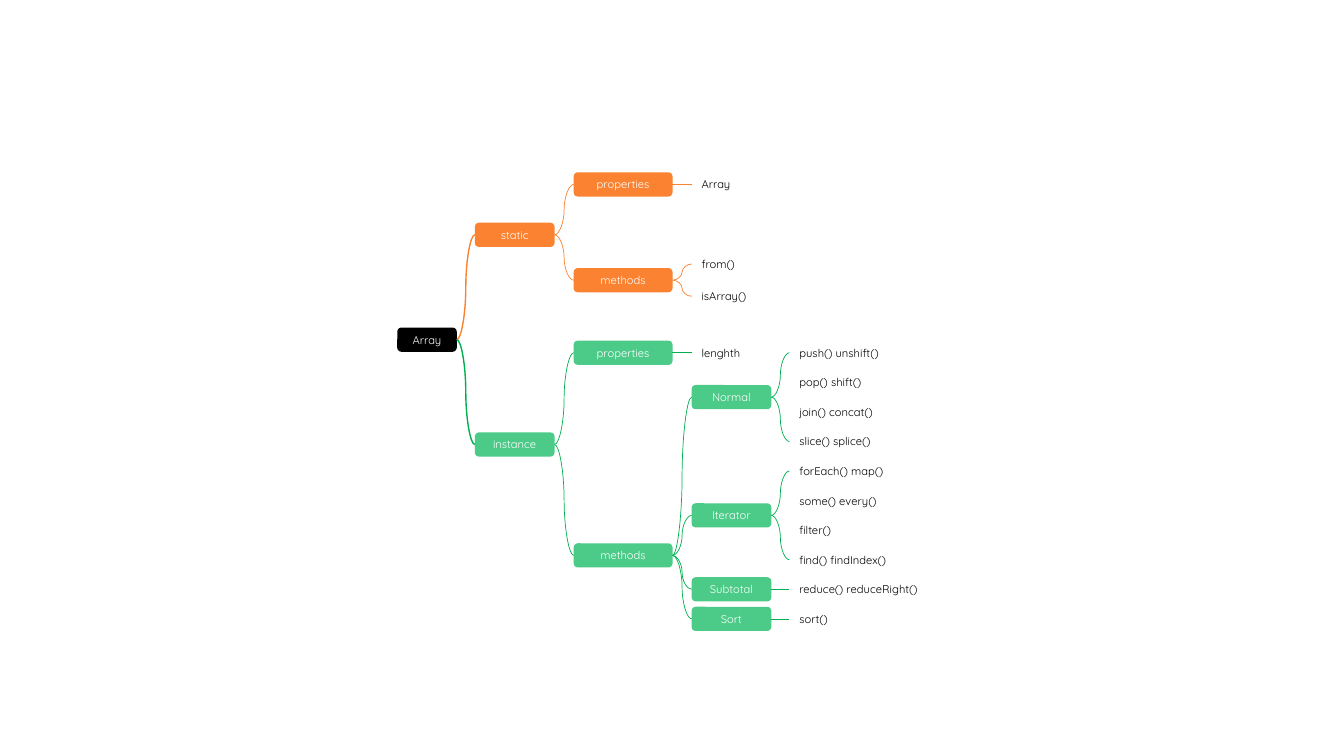
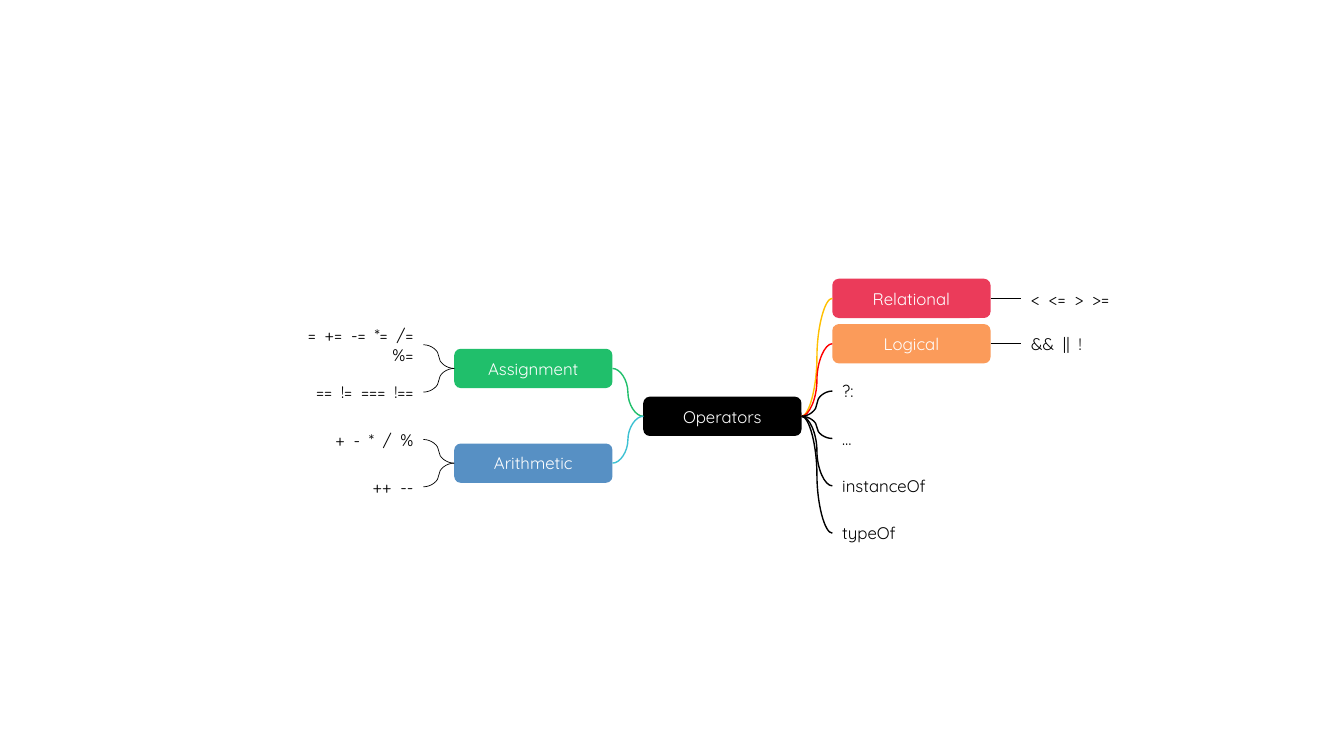
"""Build two mind maps: array members and operators."""
from dataclasses import dataclass
from typing import Optional

from lxml.etree import SubElement
from pptx import Presentation
from pptx.dml.color import RGBColor
from pptx.enum.shapes import MSO_CONNECTOR as Connector, MSO_SHAPE as Shape
from pptx.enum.text import MSO_ANCHOR as Anchor, PP_ALIGN as Align
from pptx.oxml.ns import qn
from pptx.util import Inches, Pt

FONT = "Quicksand"
BLACK = RGBColor(0x00, 0x00, 0x00)
WHITE = RGBColor(0xFF, 0xFF, 0xFF)
ORANGE = RGBColor(0xFA, 0x82, 0x31)
GREEN = RGBColor(0x20, 0xBF, 0x6B)
DEEP_GREEN = RGBColor(0x00, 0xB0, 0x50)
CRIMSON = RGBColor(0xEB, 0x3B, 0x5A)
RED = RGBColor(0xFF, 0x00, 0x00)
AMBER = RGBColor(0xFF, 0xC0, 0x00)
BLUE = RGBColor(0x2E, 0x75, 0xB6)
CYAN = RGBColor(0x3D, 0xC1, 0xD3)
LEFT_SITE, RIGHT_SITE = 1, 3


@dataclass(frozen=True)
class Fill:
    color: RGBColor
    opacity: int = 100


@dataclass(frozen=True)
class Link:
    color: RGBColor
    width: float = 0.5


@dataclass(frozen=True)
class Node:
    text: str
    link: Optional[Link] = None
    fill: Optional[Fill] = None
    y: Optional[float] = None
    children: tuple["Node", ...] = ()

    @property
    def middle(self) -> float:
        if self.y is not None:
            return self.y
        return (self.children[0].middle + self.children[-1].middle) / 2


@dataclass(frozen=True)
class Column:
    left: float
    width: float


@dataclass(frozen=True)
class MindMap:
    root: Node
    columns: tuple[Column, ...]
    root_column: int
    box_height: float
    font_size: int
    word_gap: float = 0
    left_branches: tuple[Node, ...] = ()


def add_words(para, text: str, word_gap: float) -> None:
    for line_number, line in enumerate(text.split("\n")):
        if line_number:
            para.add_line_break()
        words = line.split(" ") if word_gap else [line]
        for number, word in enumerate(words):
            if number:
                gap = para.add_run()
                gap.text = " "
                gap.font._element.set("spc", str(round(word_gap * 100)))
            para.add_run().text = word


def add_box(page, chart: MindMap, node: Node, column: int):
    place = chart.columns[column]
    bounds = (Inches(place.left), Inches(node.middle - chart.box_height / 2),
              Inches(place.width), Inches(chart.box_height))
    if node.fill:
        box = page.shapes.add_shape(Shape.ROUNDED_RECTANGLE, *bounds)
        box.shadow.inherit = False
        box.line.fill.background()
        box.fill.solid()
        box.fill.fore_color.rgb = node.fill.color
        if node.fill.opacity < 100:
            color = box.element.spPr.find(".//" + qn("a:srgbClr"))
            SubElement(color, qn("a:alpha"), val=str(node.fill.opacity * 1000))
    else:
        box = page.shapes.add_textbox(*bounds)
    frame = box.text_frame
    frame.word_wrap = True
    frame.vertical_anchor = Anchor.MIDDLE
    para = frame.paragraphs[0]
    if node.fill:
        para.alignment = Align.CENTER
    else:
        para.alignment = Align.RIGHT if column < chart.root_column else Align.LEFT
    para.font.name = FONT
    para.font.size = Pt(chart.font_size)
    para.font.color.rgb = WHITE if node.fill else BLACK
    add_words(para, node.text, chart.word_gap)
    return box


def add_link(page, start, end, link: Link) -> None:
    start_y = start.top + start.height // 2
    end_y = end.top + end.height // 2
    kind = Connector.STRAIGHT if start_y == end_y else Connector.CURVE
    line = page.shapes.add_connector(
        kind, start.left + start.width, start_y, end.left, end_y)
    line.begin_connect(start, RIGHT_SITE)
    line.end_connect(end, LEFT_SITE)
    line.line.color.rgb = link.color
    line.line.width = Pt(link.width)
    SubElement(line._element.spPr, qn("a:effectLst"))


def add_branches(page, chart: MindMap, parent, branches: tuple[Node, ...],
                 column: int, step: int) -> None:
    for node in branches:
        box = add_box(page, chart, node, column)
        if node.link:
            start, end = (parent, box) if step > 0 else (box, parent)
            add_link(page, start, end, node.link)
        add_branches(page, chart, box, node.children, column + step, step)


def add_mind_map(deck, chart: MindMap) -> None:
    page = deck.slides.add_slide(deck.slide_layouts[6])
    center = chart.root_column
    root = add_box(page, chart, chart.root, center)
    add_branches(page, chart, root, chart.root.children, center + 1, 1)
    add_branches(page, chart, root, chart.left_branches, center - 1, -1)


def array_map() -> MindMap:
    orange, green = Link(ORANGE), Link(DEEP_GREEN)
    orange_fill, green_fill = Fill(ORANGE), Fill(GREEN, 80)
    first_row, last_row = 3.5, 6.14
    groups = {
        "Normal": ("push() unshift()", "pop() shift()", "join() concat()",
                   "slice() splice()"),
        "Iterator": ("forEach() map()", "some() every()", "filter()",
                     "find() findIndex()"),
        "Subtotal": ("reduce() reduceRight()",),
        "Sort": ("sort()",),
    }
    pitch = (last_row - first_row) / (sum(map(len, groups.values())) - 1)
    row = 0
    families = []
    for name, calls in groups.items():
        leaves = tuple(
            Node(call, green if call in (calls[0], calls[-1]) else None,
                 y=first_row + (row + offset) * pitch)
            for offset, call in enumerate(calls))
        families.append(Node(name, green, green_fill, children=leaves))
        row += len(calls)
    static = Node("static", Link(ORANGE, 1), orange_fill, 2.33, (
        Node("properties", orange, orange_fill,
             children=(Node("Array", orange, y=1.83),)),
        Node("methods", orange, orange_fill, children=(
            Node("from()", orange, y=2.62),
            Node("isArray()", orange, y=2.94))),
    ))
    instance = Node("instance", Link(DEEP_GREEN, 1), green_fill, 4.41, (
        Node("properties", green, green_fill,
             children=(Node("lenghth", green, y=first_row),)),
        Node("methods", green, green_fill, 5.51, tuple(families)),
    ))
    columns = (Column(3.94, 0.59), Column(4.71, 0.79), Column(5.69, 0.98),
               Column(6.86, 0.79), Column(7.83, 1.5))
    root = Node("Array", fill=Fill(BLACK), children=(static, instance))
    return MindMap(root, columns, 0, 0.24, 8)


def operator_map() -> MindMap:
    thin, thick = Link(BLACK), Link(BLACK, 1)
    pitch = 0.47
    right = (
        Node("Relational", Link(AMBER, 1), Fill(CRIMSON),
             children=(Node("< <= > >=", thick, y=2.96),)),
        Node("Logical", Link(RED, 1), Fill(ORANGE, 80),
             children=(Node("&& || !", thick, y=3.41),)),
        *(Node(text, thick, y=3.88 + number * pitch)
          for number, text in enumerate(("?:", "…", "instanceOf", "typeOf"))),
    )
    leaves = [Node(text, thin, y=3.42 + number * pitch)
              for number, text in enumerate((
                  "= += -= *= /=\n%=", "== != === !==", "+ - * / %", "++ --"))]
    left = (
        Node("Assignment", Link(GREEN, 1), Fill(GREEN), children=tuple(leaves[:2])),
        Node("Arithmetic", Link(CYAN, 1), Fill(BLUE, 80), children=tuple(leaves[2:])),
    )
    columns = tuple(Column(2.63 + number * 7.5 / 4, 1.57) for number in range(5))
    root = Node("Operators", fill=Fill(BLACK), y=4.13, children=right)
    return MindMap(root, columns, 2, 0.39, 12, 3, left)


def main() -> None:
    deck = Presentation()
    deck.slide_width = Inches(13.33)
    deck.slide_height = Inches(7.5)
    for chart in (array_map(), operator_map()):
        add_mind_map(deck, chart)
    deck.save("out.pptx")


if __name__ == "__main__":
    main()
